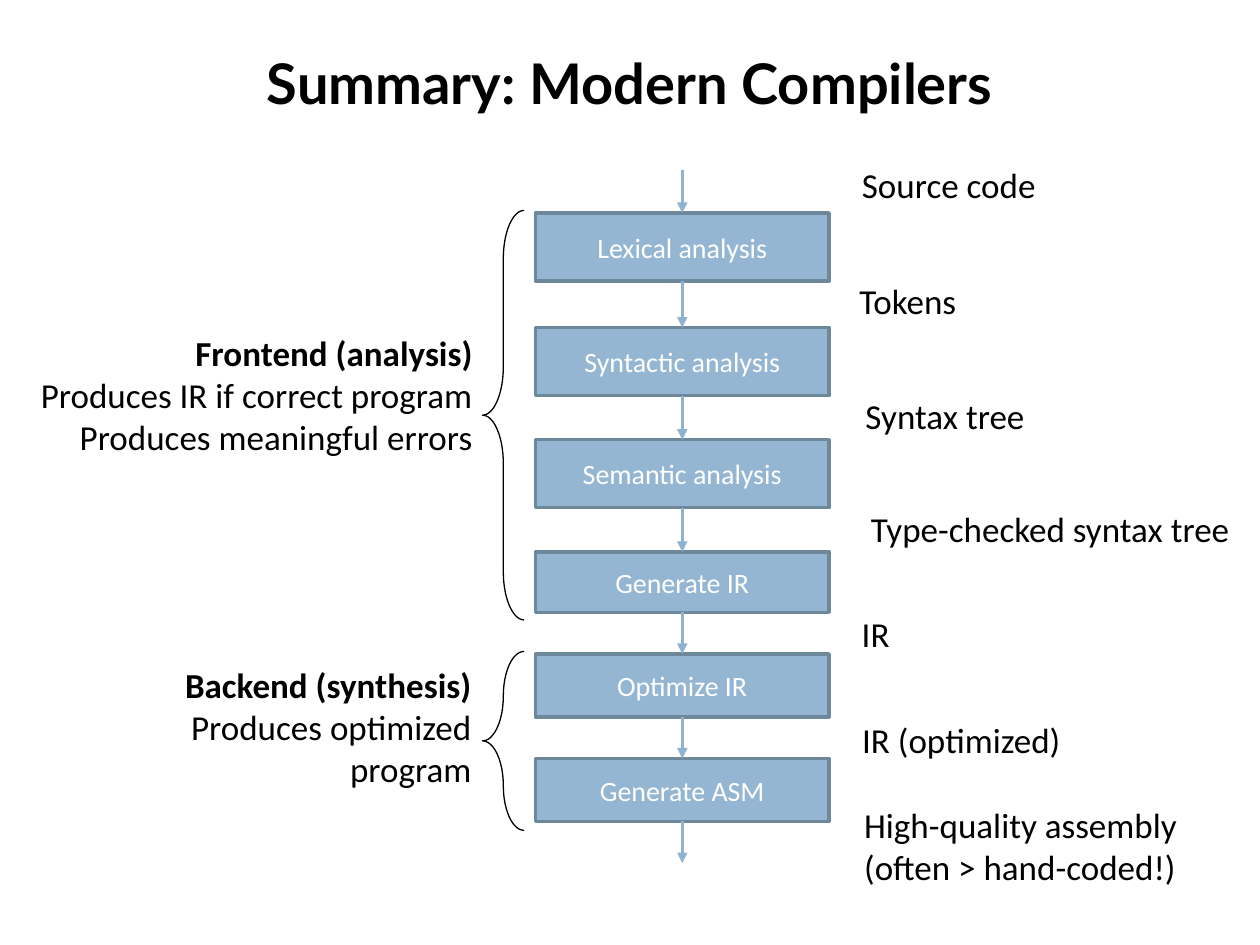
import pptx
import pptx.dml.color
import pptx.enum.shapes
import pptx.enum.text
import pptx.oxml
import pptx.oxml.ns
import pptx.util
from pptx.util import Inches

ALIGN = pptx.enum.text.PP_ALIGN
ANCHOR = pptx.enum.text.MSO_ANCHOR
SHAPE = pptx.enum.shapes.MSO_SHAPE


def color(value):
    return pptx.dml.color.RGBColor.from_string(value)


def write(shape, lines, size, ink, align, font="Calibri", bold_first=False):
    """Put one paragraph per line into the shape."""
    frame = shape.text_frame
    frame.text = "\n".join(lines)
    for index, para in enumerate(frame.paragraphs):
        para.alignment = align
        para.font.name = font
        para.font.size = pptx.util.Pt(size)
        para.font.color.rgb = color(ink)
        para.font.bold = bold_first and index == 0


deck = pptx.Presentation()
deck.slide_width, deck.slide_height = Inches(10), Inches(7.5)
page = deck.slides.add_slide(deck.slide_layouts[5])

title = page.shapes.title
title.left, title.top = Inches(0.5), Inches(0.3)
title.width, title.height = Inches(9), Inches(0.7)
write(title, ["Summary: Modern Compilers"], 32, "000000", ALIGN.CENTER, "Lato", True)
title.text_frame.vertical_anchor = ANCHOR.MIDDLE

# Compiler phases, top to bottom: name, top, height
phases = [
    ("Lexical analysis", 1.69, 0.54),
    ("Syntactic analysis", 2.6, 0.54),
    ("Semantic analysis", 3.49, 0.54),
    ("Generate IR", 4.38, 0.48),
    ("Optimize IR", 5.19, 0.5),
    ("Generate ASM", 6.02, 0.5),
]
phase_left, phase_width = 4.25, 2.33
for name, top, height in phases:
    box = page.shapes.add_shape(
        SHAPE.RECTANGLE, Inches(phase_left), Inches(top), Inches(phase_width), Inches(height))
    box.shadow.inherit = False
    box.fill.solid()
    box.fill.fore_color.rgb = color("94B6D2")
    box.line.color.rgb = color("6D879B")
    box.line.width = pptx.util.Pt(2)
    write(box, [name], 16, "FFFFFF", ALIGN.CENTER)
    box.text_frame.vertical_anchor = ANCHOR.MIDDLE

# Arrows fill the gaps before, between and after the phases
arrow_x = Inches(phase_left + phase_width / 2)
starts = [1.35] + [top + height for name, top, height in phases]
ends = [top for name, top, height in phases] + [6.85]
for start, end in zip(starts, ends):
    arrow = page.shapes.add_connector(
        pptx.enum.shapes.MSO_CONNECTOR.STRAIGHT, arrow_x, Inches(start), arrow_x, Inches(end))
    arrow.line.color.rgb = color("8FB2CF")
    arrow.line.width = pptx.util.Pt(2)
    head = pptx.oxml.parse_xml(
        f'<a:tailEnd {pptx.oxml.ns.nsdecls("a")} type="triangle"/>')
    arrow.line._get_or_add_ln().append(head)
    arrow._element.spPr.append(
        pptx.oxml.parse_xml(f'<a:effectLst {pptx.oxml.ns.nsdecls("a")}/>'))

# What flows along each arrow: lines, left, top, width, height
products = [
    (["Source code"], 6.72, 1.25, 1.62, 0.44),
    (["Tokens"], 6.71, 2.17, 0.99, 0.44),
    (["Syntax tree"], 6.75, 3.08, 1.5, 0.44),
    (["Type-checked syntax tree"], 6.75, 3.98, 3.17, 0.44),
    (["IR"], 6.73, 4.81, 0.44, 0.44),
    (["IR (optimized)"], 6.72, 5.65, 1.82, 0.44),
    (["High-quality assembly", "(often > hand-coded!)"], 6.76, 6.33, 2.72, 0.77),
]
for lines, left, top, width, height in products:
    label = page.shapes.add_textbox(Inches(left), Inches(top), Inches(width), Inches(height))
    label.text_frame.word_wrap = False
    write(label, lines, 20, "000000", ALIGN.CENTER if len(lines) == 1 else ALIGN.LEFT)

# Compiler halves: lines, text left, top and width, brace top and height
halves = [
    (["Frontend (analysis)", "Produces IR if correct program", "Produces meaningful errors"],
     0.11, 2.58, 3.74, 1.67, 3.25),
    (["Backend (synthesis)", "Produces optimized program"],
     0.43, 5.22, 3.41, 5.17, 1.42),
]
for lines, left, top, width, brace_top, brace_height in halves:
    brace = page.shapes.add_shape(
        SHAPE.LEFT_BRACE, Inches(3.83), Inches(brace_top), Inches(0.33), Inches(brace_height))
    brace.shadow.inherit = False
    brace.adjustments[0] = 1.167
    brace.fill.background()
    brace.line.color.rgb = color("000000")
    brace.line.width = pptx.util.Pt(0.75)
    note = page.shapes.add_textbox(Inches(left), Inches(top), Inches(width), Inches(1.45))
    note.text_frame.word_wrap = True
    write(note, lines, 20, "000000", ALIGN.RIGHT, bold_first=True)

deck.save("out.pptx")
